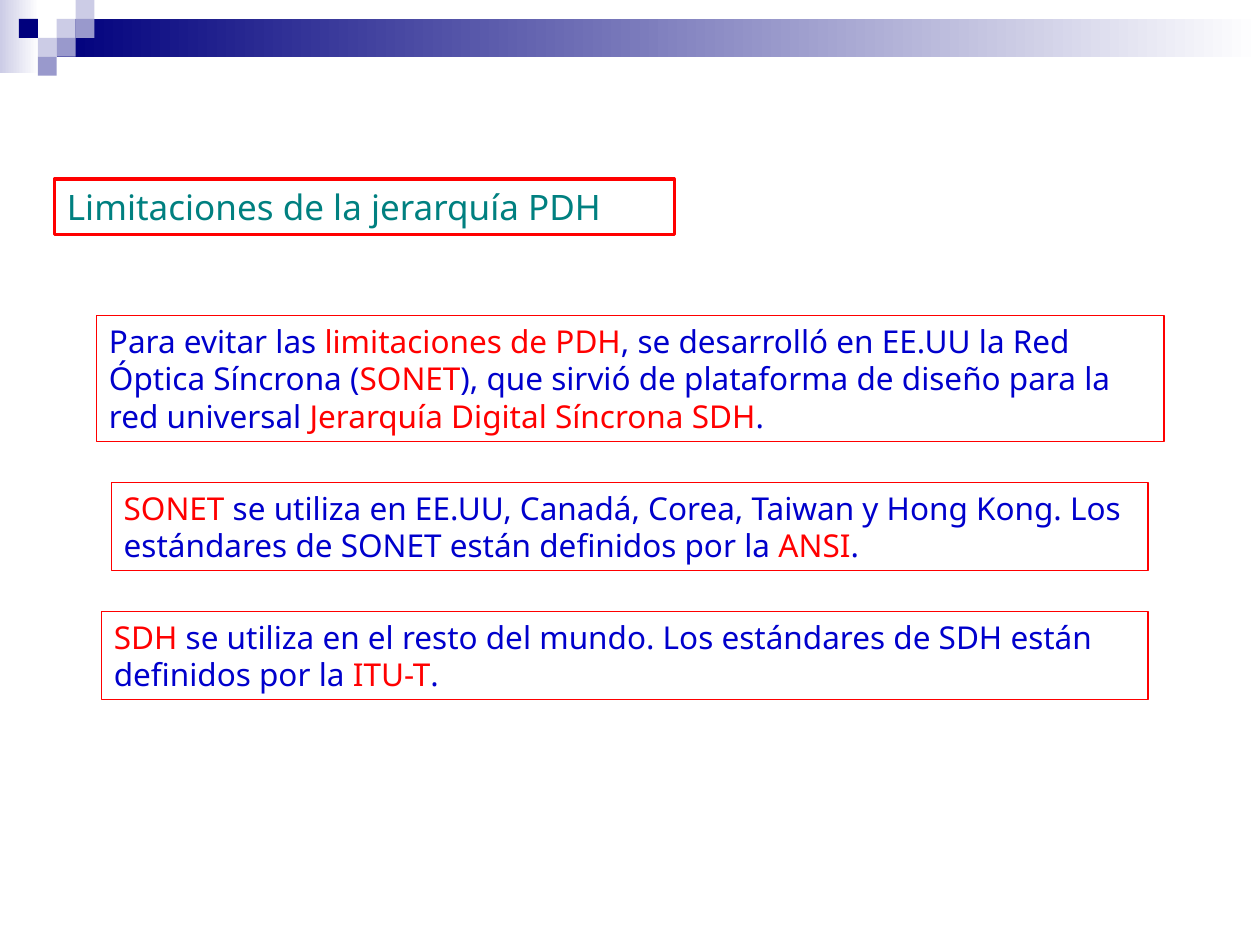
from pptx import Presentation
from pptx.dml.color import RGBColor
from pptx.enum.shapes import MSO_SHAPE
from pptx.enum.text import MSO_ANCHOR, PP_ALIGN
from pptx.util import Pt

RECTANGLE = MSO_SHAPE.RECTANGLE
TOP = MSO_ANCHOR.TOP
LEFT = PP_ALIGN.LEFT

WHITE = RGBColor(0xFF, 0xFF, 0xFF)
NAVY = RGBColor(0x00, 0x00, 0x7D)
LAVENDER = RGBColor(0xCC, 0xCC, 0xE6)
PERIWINKLE = RGBColor(0x99, 0x99, 0xCC)
BLUE = RGBColor(0x00, 0x00, 0xCC)
RED = RGBColor(0xFF, 0x00, 0x00)
TEAL = RGBColor(0x00, 0x80, 0x80)

FONT = "Noto Sans"
TILE = 10.8
# Column and row of each tile in the corner mosaic
TILES = [
    (2, 1, LAVENDER), (3, 0, LAVENDER), (3, 1, PERIWINKLE),
    (1, 2, LAVENDER), (0, 1, NAVY), (2, 2, PERIWINKLE), (1, 3, PERIWINKLE),
]

# Box in points, then the runs with their colours
STATEMENTS = [
    ((55.2, 180.3, 610, 72), [
        ("Para evitar las ", BLUE),
        ("limitaciones de PDH", RED),
        (", se desarrolló en EE.UU la Red Óptica Síncrona (", BLUE),
        ("SONET", RED),
        ("), que sirvió de plataforma de diseño para la red universal ", BLUE),
        ("Jerarquía Digital Síncrona SDH", RED),
        (".", BLUE),
    ]),
    ((63.6, 275.7, 592.5, 50.4), [
        ("SONET", RED),
        (" se utiliza en EE.UU, Canadá, Corea, Taiwan y Hong Kong. "
         "Los estándares de SONET están definidos por la ", BLUE),
        ("ANSI", RED),
        (".", BLUE),
    ]),
    ((58, 349.4, 598.1, 50.4), [
        ("SDH", RED),
        (" se utiliza en el resto del mundo. "
         "Los estándares de SDH están definidos por la ", BLUE),
        ("ITU-T", RED),
        (".", BLUE),
    ]),
]


def add_rectangle(page, left, top, width, height):
    shape = page.shapes.add_shape(
        RECTANGLE, Pt(left), Pt(top), Pt(width), Pt(height))
    shape.shadow.inherit = False
    shape.line.fill.background()
    return shape


def add_fading_bar(page, box, color):
    """Add a bar that fades from color to white, left to right."""
    fill = add_rectangle(page, *box).fill
    fill.gradient()
    fill.gradient_angle = 0
    for stop, stop_color, position in zip(
            fill.gradient_stops, (color, WHITE), (0, 1)):
        stop.color.rgb = stop_color
        stop.position = position


def add_header(page, left, top, width):
    add_fading_bar(page, (left, top, 22.3, 41.8), LAVENDER)
    bar_left = left + 3 * TILE
    add_fading_bar(
        page, (bar_left, top + TILE, width - 3 * TILE, 2 * TILE), NAVY)
    for column, row, color in TILES:
        tile = add_rectangle(
            page, left + TILE * (column + 1), top + TILE * row, TILE, TILE)
        tile.fill.solid()
        tile.fill.fore_color.rgb = color


def write_runs(shape, runs, size):
    frame = shape.text_frame
    frame.word_wrap = True
    frame.vertical_anchor = TOP
    frame.margin_left = frame.margin_right = Pt(7.2)
    frame.margin_top = frame.margin_bottom = Pt(3.6)
    para = frame.paragraphs[0]
    para.alignment = LEFT
    for text, color in runs:
        span = para.add_run()
        span.text = text
        span.font.name = FONT
        span.font.size = Pt(size)
        span.font.color.rgb = color


def place_title(page, left, top, width, height):
    title = page.shapes.title
    title.left, title.top = Pt(left), Pt(top)
    title.width, title.height = Pt(width), Pt(height)
    title.fill.solid()
    title.fill.fore_color.rgb = WHITE
    title.line.color.rgb = RED
    title.line.width = Pt(1.75)
    write_runs(title, [("Limitaciones de la jerarquía PDH", TEAL)], 20)


def add_statement(page, box, runs):
    shape = add_rectangle(page, *box)
    shape.fill.background()
    shape.line.color.rgb = RED
    shape.line.width = Pt(0)
    write_runs(shape, runs, 18)


def main():
    deck = Presentation()
    deck.slide_width, deck.slide_height = Pt(720), Pt(540)
    page = deck.slides.add_slide(deck.slide_layouts[5])
    add_header(page, 0, 0, 720)
    for box, runs in STATEMENTS:
        add_statement(page, box, runs)
    place_title(page, 31, 102.3, 354.2, 31.7)
    deck.save("out.pptx")


if __name__ == "__main__":
    main()
